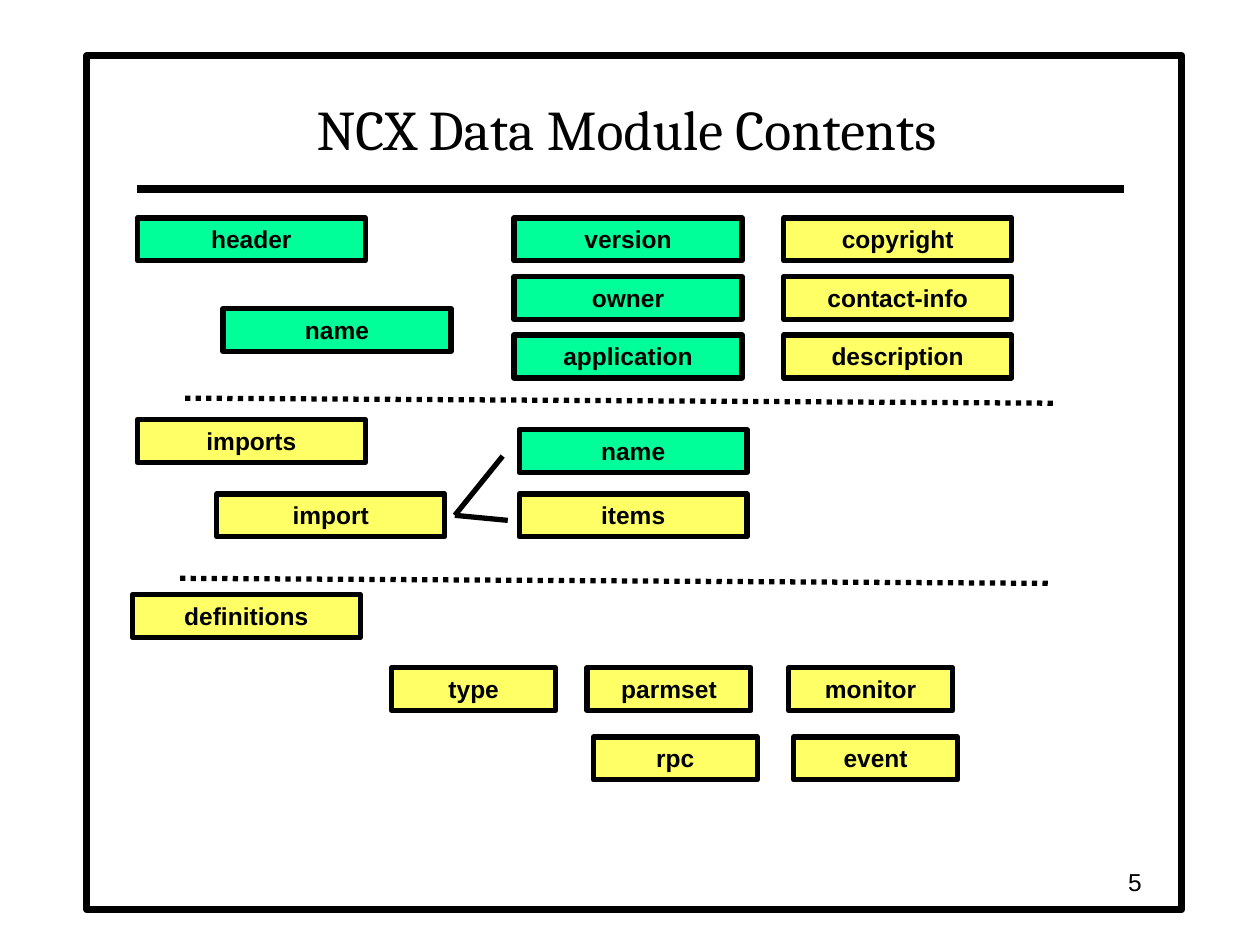
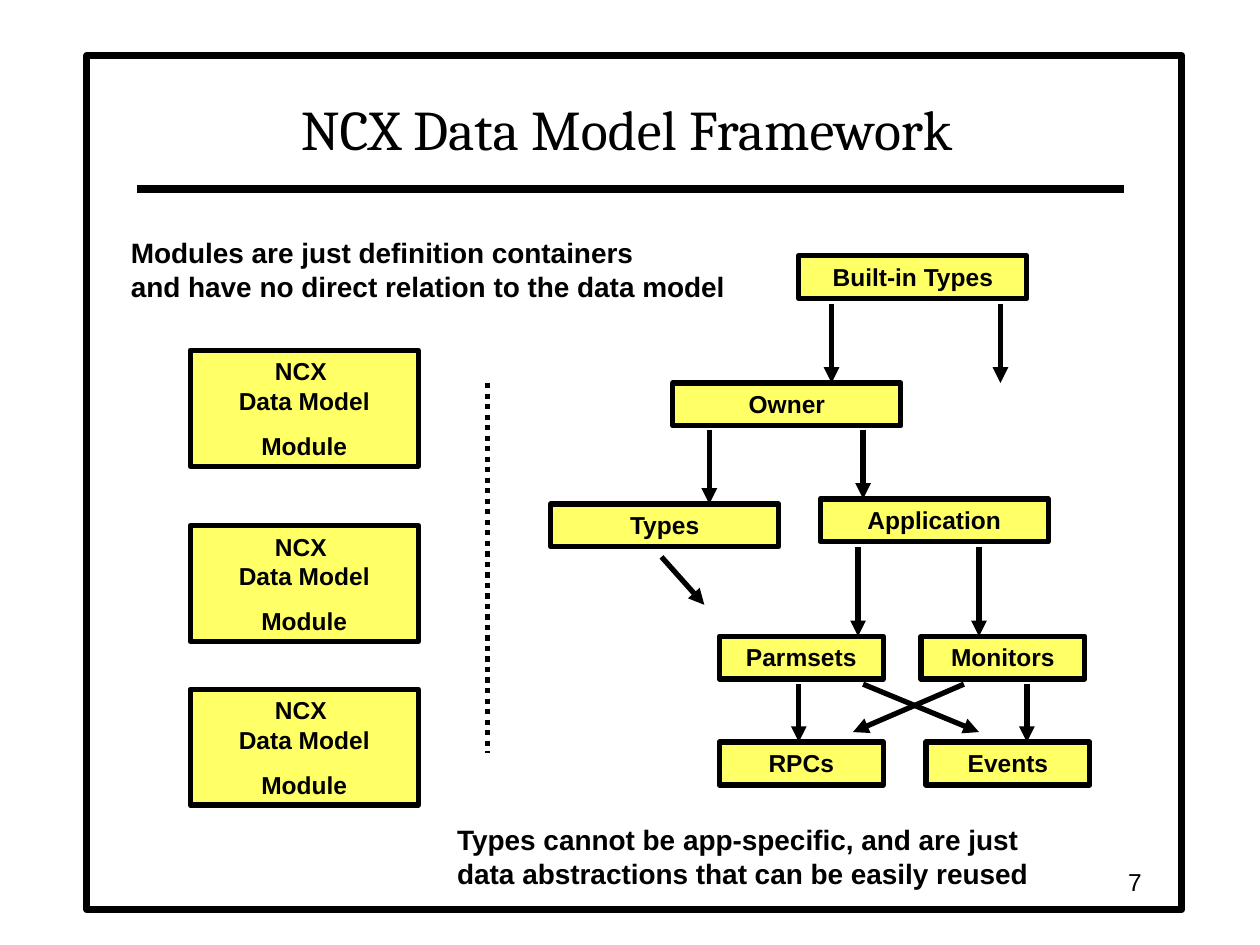
"""Build two slides on the contents of NCX data modules and the data model framework."""
import pptx
import pptx.dml.color
import pptx.enum.dml
import pptx.enum.shapes
import pptx.enum.text
import pptx.oxml
import pptx.oxml.ns
import pptx.util
from lxml import etree

Inches = pptx.util.Inches
Align = pptx.enum.text.PP_ALIGN
Anchor = pptx.enum.text.MSO_ANCHOR

BLACK = pptx.dml.color.RGBColor(0x00, 0x00, 0x00)
GREEN = pptx.dml.color.RGBColor(0x00, 0xFF, 0x99)
YELLOW = pptx.dml.color.RGBColor(0xFF, 0xFF, 0x66)

WIDE, NARROW = 1.81, 1.3
ROW_HEIGHT = 0.34


class Deck:
    def __init__(self):
        self.presentation = pptx.Presentation()
        self.presentation.slide_width = Inches(10)
        self.presentation.slide_height = Inches(7.5)
        self.slide = None

    def start_slide(self, heading, number):
        self.slide = self.presentation.slides.add_slide(self.presentation.slide_layouts[5])
        self.rectangle(0.69, 0.44, 8.69, 6.78, 4)
        self.line((1.09, 1.5), (8.92, 1.5), 4.5)
        title = self.slide.shapes.title
        title.left, title.top = Inches(1.08), Inches(0.58)
        title.width, title.height = Inches(7.79), Inches(0.75)
        self.set_text(title, heading, 32, Align.CENTER, Anchor.BOTTOM, "Cambria", False)
        page_number = self.slide.shapes.add_textbox(
            Inches(7.08), Inches(6.83), Inches(2.08), Inches(0.33))
        self.set_text(page_number, number, 14, Align.RIGHT, Anchor.MIDDLE, bold=False)

    def set_text(self, shape, text, size, align, anchor=Anchor.TOP, font="Arial", bold=True):
        frame = shape.text_frame
        frame.text = text
        frame.word_wrap = True
        frame.auto_size = pptx.enum.text.MSO_AUTO_SIZE.NONE
        frame.vertical_anchor = anchor
        for index, paragraph in enumerate(frame.paragraphs):
            paragraph.alignment = align
            if index:
                paragraph.space_before = pptx.util.Pt(8.8)
            for run in paragraph.runs:
                run.font.name = font
                run.font.size = pptx.util.Pt(size)
                run.font.bold = bold
                run.font.color.rgb = BLACK

    def rectangle(self, left, top, width, height, weight, fill=None):
        shape = self.slide.shapes.add_shape(
            pptx.enum.shapes.MSO_SHAPE.RECTANGLE,
            Inches(left), Inches(top), Inches(width), Inches(height))
        shape.shadow.inherit = False
        if fill is None:
            shape.fill.background()
        else:
            shape.fill.solid()
            shape.fill.fore_color.rgb = fill
        shape.line.color.rgb = BLACK
        shape.line.width = pptx.util.Pt(weight)
        return shape

    def box(self, text, left, top, width=WIDE, fill=YELLOW, height=ROW_HEIGHT):
        self.set_text(self.rectangle(left, top, width, height, 3, fill), text, 14, Align.CENTER)

    def caption(self, text, left, top, width):
        caption = self.slide.shapes.add_textbox(
            Inches(left), Inches(top), Inches(width), Inches(0.64))
        self.set_text(caption, text, 16, Align.LEFT)

    def line(self, start, end, weight=3, dotted=False, arrow=False):
        connector = self.slide.shapes.add_connector(
            pptx.enum.shapes.MSO_CONNECTOR.STRAIGHT,
            *(Inches(value) for value in (*start, *end)))
        connector.line.color.rgb = BLACK
        connector.line.width = pptx.util.Pt(weight)
        if dotted:
            connector.line.dash_style = pptx.enum.dml.MSO_LINE.ROUND_DOT
        properties = connector.element.spPr
        if arrow:
            outline = properties.find(pptx.oxml.ns.qn("a:ln"))
            etree.SubElement(outline, pptx.oxml.ns.qn("a:tailEnd"), type="triangle")
        etree.SubElement(properties, pptx.oxml.ns.qn("a:effectLst"))


def build_module_contents(deck):
    deck.start_slide("NCX Data Module Contents", "5")

    deck.box("header", 1.09, 1.73, fill=GREEN)
    deck.box("name", 1.77, 2.45, fill=GREEN)
    header_fields = [("version", "copyright"), ("owner", "contact-info"),
                     ("application", "description")]
    for row, (required, optional) in enumerate(header_fields):
        top = 1.73 + 0.465 * row
        deck.box(required, 4.08, top, fill=GREEN)
        deck.box(optional, 6.22, top)

    deck.line((1.47, 3.16), (8.36, 3.2), dotted=True)
    deck.box("imports", 1.09, 3.33)
    deck.box("import", 1.72, 3.92)
    deck.box("name", 4.12, 3.41, fill=GREEN)
    deck.box("items", 4.12, 3.92)
    for branch_end in [(3.99, 3.62), (4.03, 4.13)]:
        deck.line((3.61, 4.09), branch_end)

    deck.line((1.43, 4.59), (8.32, 4.63), dotted=True)
    deck.box("definitions", 1.05, 4.72)
    definitions = [("type", 3.11, 5.3), ("parmset", 4.66, 5.3), ("monitor", 6.26, 5.3),
                   ("rpc", 4.71, 5.85), ("event", 6.3, 5.85)]
    for definition, left, top in definitions:
        deck.box(definition, left, top, NARROW)


def build_model_framework(deck):
    deck.start_slide("NCX Data Model Framework", "7")

    deck.caption("Modules are just definition containers\v"
                 "and have no direct relation to the data model", 0.94, 1.82, 5.1)
    for module_top in (2.78, 4.17, 5.47):
        deck.box("NCX \vData Model\nModule", 1.51, module_top, height=0.92)
    deck.line((3.87, 3.04), (3.87, 5.98), dotted=True)

    framework = [("Built-in Types", 6.34, 2.03, WIDE), ("Owner", 5.34, 3.04, WIDE),
                 ("Types", 4.37, 4, WIDE), ("Application", 6.51, 3.96, WIDE),
                 ("Parmsets", 5.71, 5.05, NARROW), ("Monitors", 7.31, 5.05, NARROW),
                 ("RPCs", 5.71, 5.89, NARROW), ("Events", 7.35, 5.89, NARROW)]
    for name, left, top, width in framework:
        deck.box(name, left, top, width)

    downward = [(6.6, 2.41, 3.04), (7.94, 2.41, 3.04), (5.63, 3.41, 4), (6.85, 3.41, 3.96),
                (6.81, 4.34, 5.05), (7.77, 4.34, 5.05), (6.34, 5.43, 5.89),
                (8.15, 5.43, 5.89)]
    for x, top, bottom in downward:
        deck.line((x, top), (x, bottom), arrow=True)
    diagonal = [((7.65, 5.43), (6.77, 5.81)), ((6.85, 5.43), (7.77, 5.81)),
                ((5.25, 4.42), (5.59, 4.8))]
    for start, end in diagonal:
        deck.line(start, end, arrow=True)

    deck.caption("Types cannot be app-specific, and are just "
                 "data abstractions that can be easily reused", 3.53, 6.48, 5.12)


def main():
    deck = Deck()
    build_module_contents(deck)
    build_model_framework(deck)
    deck.presentation.save("out.pptx")


if __name__ == "__main__":
    main()
